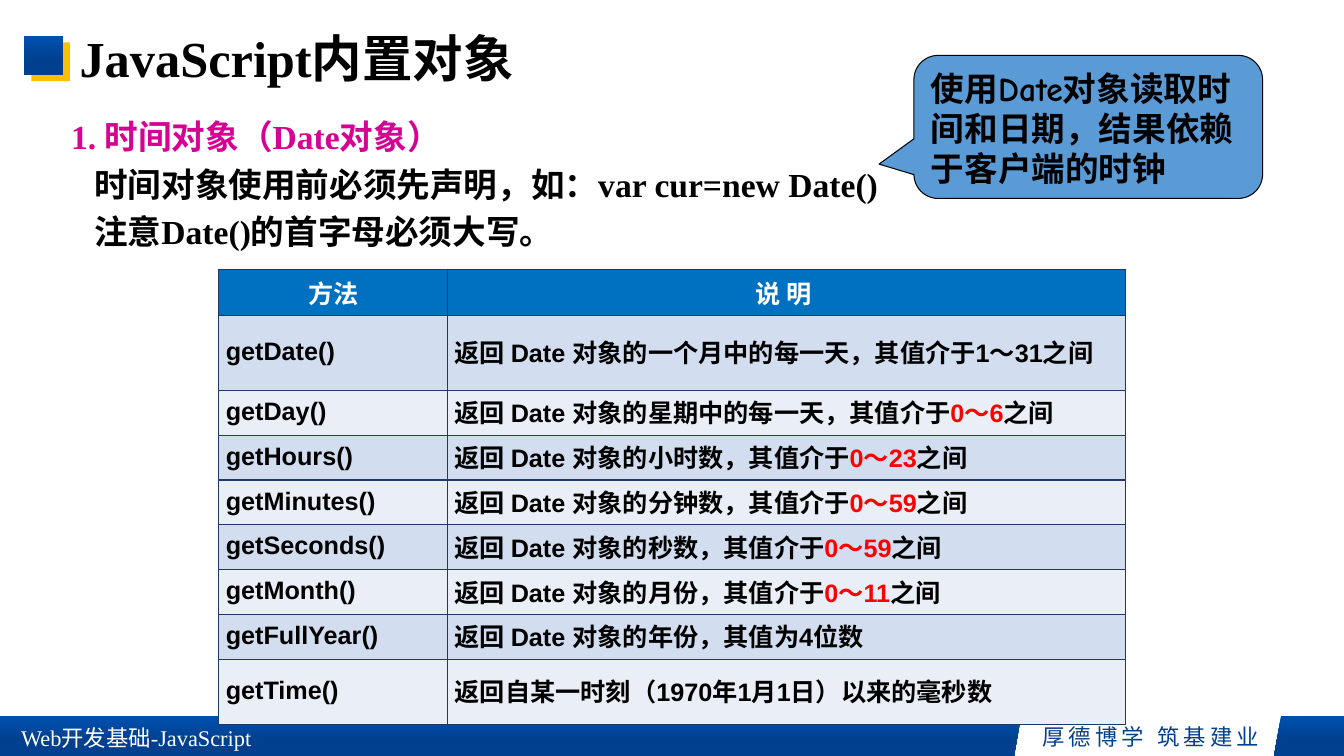
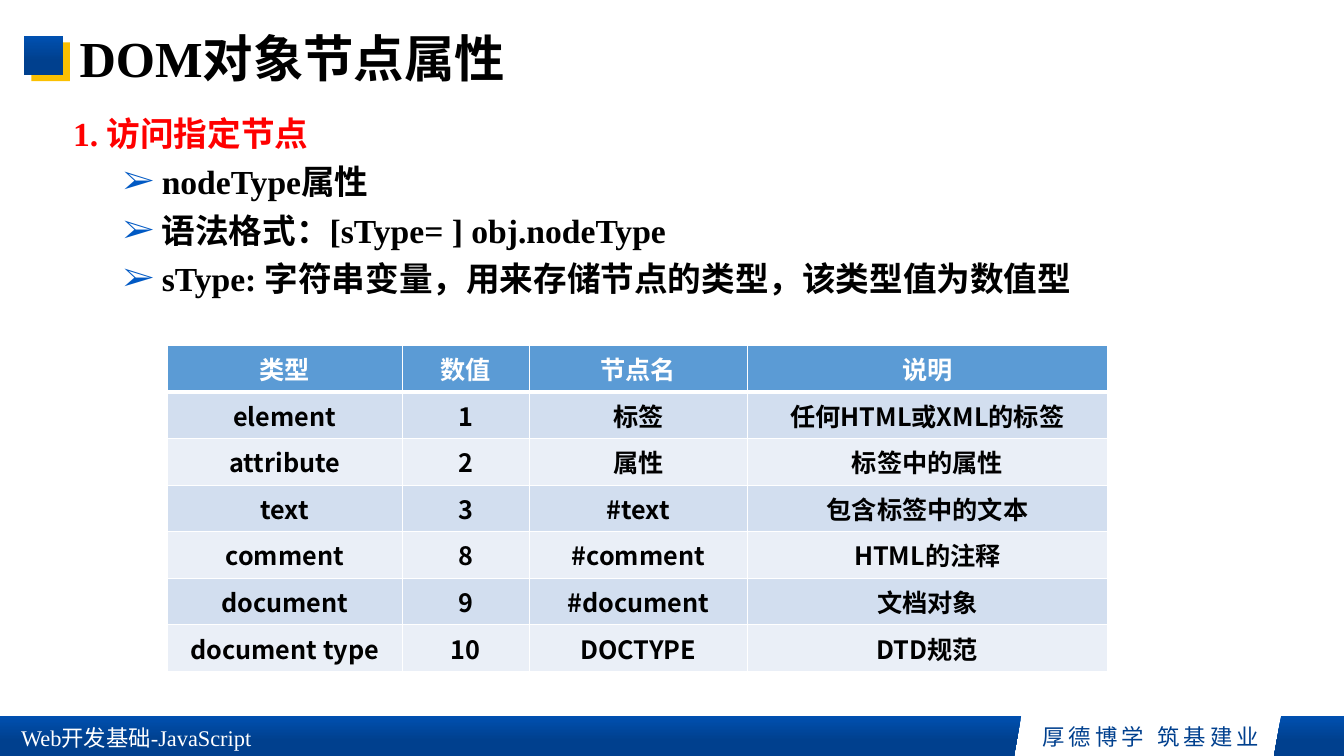
"""Two lecture slides on JavaScript built-in objects and DOM node properties."""
from dataclasses import dataclass, replace

from lxml.etree import SubElement
from pptx import Presentation
from pptx.dml.color import RGBColor
from pptx.enum.shapes import MSO_SHAPE as Preset
from pptx.enum.text import MSO_ANCHOR as Anchor, PP_ALIGN as Align
from pptx.oxml import parse_xml
from pptx.oxml.ns import nsdecls, qn
from pptx.util import Emu, Inches, Pt

WIDTH, HEIGHT = Inches(13.333), Inches(7.5)

BLACK = RGBColor(0, 0, 0)
WHITE = RGBColor(255, 255, 255)
RED = RGBColor(255, 0, 0)
MAGENTA = RGBColor(0xD6, 0x00, 0x93)
GOLD = RGBColor(0xFB, 0xC0, 0x01)
BAND_TOP = RGBColor(0x00, 0x50, 0xB0)
BAND_BOTTOM = RGBColor(0x00, 0x40, 0x8E)
BULLET_BLUE = RGBColor(0x00, 0x59, 0xC4)
SKY = RGBColor(0x5B, 0x9B, 0xD5)
HEADER_BLUE = RGBColor(0x00, 0x70, 0xC0)
GRID_NAVY = RGBColor(0x20, 0x38, 0x64)
STRIPES = RGBColor(0xD2, 0xDE, 0xEF), RGBColor(0xEA, 0xEF, 0xF7)

SERIF, SANS, COMIC, CHINESE = "Times New Roman", "Arial", "Comic Neue", "Noto Sans CJK SC"


@dataclass(frozen=True)
class Style:
    """Look of a run of text."""
    size: int
    face: str
    color: RGBColor = BLACK
    bold: bool = True
    tracking: int = 0


TITLE = Style(36, SERIF)
BODY = Style(24, SERIF)
CALLOUT = Style(24, COMIC)
FOOTER = Style(16, SERIF, WHITE, False)
MOTTO = Style(16, CHINESE, BAND_BOTTOM, False, 3)


@dataclass(frozen=True)
class TableLook:
    """Look of a table: text face, alignment, colours and body cell insets."""
    face: str
    body_align: Align
    header_fill: RGBColor
    border: RGBColor
    header_rule: int
    insets: tuple


METHOD_LOOK = TableLook(SANS, Align.JUSTIFY, HEADER_BLUE, GRID_NAVY, 1,
                        (0.07, 0, 0.07, 0.02))
NODE_LOOK = TableLook(CHINESE, Align.CENTER, SKY, WHITE, 3, (0.1, 0.05, 0.1, 0.05))

METHOD_ROWS = [
    ("方法", "说 明 "),
    ("getDate()", "返回 Date 对象的一个月中的每一天，其值介于1～31之间"),
    ("getDay()", ("返回 Date 对象的星期中的每一天，其值介于", "0～6", "之间")),
    ("getHours()", ("返回 Date 对象的小时数，其值介于", "0～23", "之间")),
    ("getMinutes()", ("返回 Date 对象的分钟数，其值介于", "0～59", "之间")),
    ("getSeconds()", ("返回 Date 对象的秒数，其值介于", "0～59", "之间")),
    ("getMonth()", ("返回 Date 对象的月份，其值介于", "0～11", "之间")),
    ("getFullYear()", "返回 Date 对象的年份，其值为4位数"),
    ("getTime()", "返回自某一时刻（1970年1月1日）以来的毫秒数"),
]
NODE_ROWS = [
    ("类型", "数值", "节点名", "说明"),
    ("element", "1", "标签", "任何HTML或XML的标签"),
    ("attribute", "2", "属性", "标签中的属性"),
    ("text", "3", "#text", "包含标签中的文本"),
    ("comment", "8", "#comment", "HTML的注释"),
    ("document", "9", "#document", "文档对象"),
    ("document type", "10", "DOCTYPE", "DTD规范"),
]


def across(percent):
    """Length as a percentage of the slide's width."""
    return Emu(round(WIDTH * percent / 100))


def down(percent):
    """Length as a percentage of the slide's height."""
    return Emu(round(HEIGHT * percent / 100))


def area(left, top, width, height):
    """Rectangle given in percentages of the slide."""
    return across(left), down(top), across(width), down(height)


def add_run(paragraph, text, style):
    """Append one styled run, Chinese glyphs included."""
    run = paragraph.add_run()
    run.text = text
    font = run.font
    font.size, font.bold, font.name = Pt(style.size), style.bold, style.face
    font.color.rgb = style.color
    properties = font._element
    if style.tracking:
        properties.set("spc", str(style.tracking * 100))
    SubElement(properties, qn("a:ea")).set("typeface", CHINESE)


def add_text(slide, place, text, style, align=Align.LEFT, anchor=Anchor.TOP, spacing=1.0):
    """Add a text box with one paragraph."""
    frame = slide.shapes.add_textbox(*area(*place)).text_frame
    frame.word_wrap = True
    frame.vertical_anchor = anchor
    paragraph = frame.paragraphs[0]
    paragraph.alignment, paragraph.line_spacing = align, spacing
    add_run(paragraph, text, style)
    return frame


def add_line(frame, text, spacing, indent, before=0.0, bullet=None):
    """Append a body paragraph, indented or bulleted."""
    paragraph = frame.add_paragraph()
    paragraph.line_spacing, paragraph.space_before = spacing, Pt(before)
    properties = paragraph._p.get_or_add_pPr()
    properties.set("marL", str(Inches(indent)))
    if bullet:
        properties.set("indent", str(-Inches(0.38)))
        color = SubElement(properties, qn("a:buClr"))
        SubElement(color, qn("a:srgbClr")).set("val", str(BULLET_BLUE))
        SubElement(properties, qn("a:buFont")).set("typeface", SERIF)
        SubElement(properties, qn("a:buChar")).set("char", bullet)
    add_run(paragraph, text, BODY)


def fill_gradient(shape):
    """Fill a shape with the vertical blue of the bands."""
    shape.fill.gradient()
    shape.fill.gradient_angle = 270
    stops = zip(shape.fill.gradient_stops, (0, 0.62), (BAND_TOP, BAND_BOTTOM))
    for stop, position, color in stops:
        stop.position, stop.color.rgb = position, color
    shape.line.fill.background()
    shape.shadow.inherit = False


def add_square(slide, left, top):
    """Add one of the two squares beside the title."""
    square = slide.shapes.add_shape(Preset.RECTANGLE, *area(left, top, 2.88, 5.13))
    square.shadow.inherit = False
    square.line.fill.background()
    return square


def add_band(slide):
    """Draw the footer band with its slanted gap."""
    top, bottom = down(94.67), HEIGHT
    right_part = [(95.33, top), (100, top), (100, bottom), (94.8, bottom)]
    left_part = [(0, top), (75.98, top), (75.45, bottom), (0, bottom)]
    first, *rest = [(across(x), y) for x, y in right_part]
    outline = slide.shapes.build_freeform(*first, scale=1.0)
    outline.add_line_segments(rest, close=True)
    first, *rest = [(across(x), y) for x, y in left_part]
    outline.move_to(*first)
    outline.add_line_segments(rest, close=True)
    fill_gradient(outline.convert_to_shape())


def new_slide(deck, title):
    """Add a slide with the shared footer, squares and title."""
    slide = deck.slides.add_slide(deck.slide_layouts[6])
    add_band(slide)
    for left, words in ((72.75, "厚德博学"), (81.3, "筑基建业")):
        add_text(slide, (left, 95.0, 17.18, 4.93), words, MOTTO, Align.CENTER)
    add_text(slide, (0.83, 95.07, 20.85, 4.93), "Web开发基础-JavaScript", FOOTER)
    back = add_square(slide, 2.33, 5.6)
    back.fill.solid()
    back.fill.fore_color.rgb = GOLD
    fill_gradient(add_square(slide, 1.8, 4.8))
    add_text(slide, (5.18, 0.8, 86.25, 14.67), title, TITLE,
             anchor=Anchor.MIDDLE, spacing=0.9)
    return slide


def add_callout(slide, text):
    """Add the speech bubble that points to the declaration."""
    bubble = slide.shapes.add_shape(Preset.ROUNDED_RECTANGULAR_CALLOUT,
                                    *area(68.0, 7.33, 25.95, 18.93))
    for index, value in enumerate((-0.6, 0.26, 0.17)):
        bubble.adjustments[index] = value
    bubble.shadow.inherit = False
    bubble.fill.solid()
    bubble.fill.fore_color.rgb = SKY
    bubble.line.color.rgb, bubble.line.width = BLACK, Pt(0.75)
    frame = bubble.text_frame
    frame.word_wrap = True
    frame.vertical_anchor = Anchor.TOP
    paragraph = frame.paragraphs[0]
    paragraph.alignment = Align.LEFT
    add_run(paragraph, text, CALLOUT)


def set_borders(cell, color, top, bottom):
    """Draw the four borders of a cell, widths in points."""
    properties = cell._tc.get_or_add_tcPr()
    sides = (("L", 1), ("R", 1), ("T", top), ("B", bottom))
    for index, (side, width) in enumerate(sides):
        properties.insert(index, parse_xml(
            f'<a:ln{side} {nsdecls("a")} w="{Pt(width)}"><a:solidFill>'
            f'<a:srgbClr val="{color}"/></a:solidFill></a:ln{side}>'))


def fill_cell(cell, content, row, look):
    """Write and paint one cell; the middle part of a split text is red."""
    header = row == 0
    style = Style(18, look.face, WHITE if header else BLACK)
    paragraph = cell.text_frame.paragraphs[0]
    paragraph.alignment = Align.CENTER if header else look.body_align
    parts = (content,) if isinstance(content, str) else content
    for index, part in enumerate(parts):
        add_run(paragraph, part, replace(style, color=RED) if index == 1 else style)
    insets = (0.1, 0.05, 0.1, 0.05) if header else look.insets
    (cell.margin_left, cell.margin_top,
     cell.margin_right, cell.margin_bottom) = map(Inches, insets)
    cell.vertical_anchor = Anchor.MIDDLE
    cell.fill.solid()
    cell.fill.fore_color.rgb = look.header_fill if header else STRIPES[(row - 1) % 2]
    set_borders(cell, look.border, look.header_rule if row == 1 else 1,
                look.header_rule if header else 1)


def add_grid(slide, left, top, columns, heights, rows, look):
    """Add a table with the given column and row shares."""
    place = area(left, top, sum(columns), sum(heights))
    table = slide.shapes.add_table(len(rows), len(columns), *place).table
    table.horz_banding = False
    for column, share in zip(table.columns, columns):
        column.width = across(share)
    for row, share in zip(table.rows, heights):
        row.height = down(share)
    for number, contents in enumerate(rows):
        for column, content in enumerate(contents):
            fill_cell(table.cell(number, column), content, number, look)


def date_slide(deck):
    """Build the slide on the Date object."""
    slide = new_slide(deck, "JavaScript内置对象")
    body = add_text(slide, (4.55, 14.13, 89.4, 73.6), "1. 时间对象（Date对象）",
                    replace(BODY, color=MAGENTA), spacing=1.1)
    for text in ("时间对象使用前必须先声明，如：var cur=new Date()",
                 "注意Date()的首字母必须大写。"):
        add_line(body, text, 1.1, indent=0.23, before=2.4)
    add_callout(slide, "使用Date对象读取时间和日期，结果依赖于客户端的时钟")
    add_grid(slide, 16.28, 35.6, (17.03, 50.44), (6.13, 9.92, *[5.93] * 6, 8.6),
             METHOD_ROWS, METHOD_LOOK)


def node_slide(deck):
    """Build the slide on DOM node properties."""
    slide = new_slide(deck, "DOM对象节点属性")
    body = add_text(slide, (4.7, 13.2, 89.4, 73.6), "1. 访问指定节点",
                    replace(BODY, color=RED), spacing=1.2)
    for text in ("nodeType属性", "语法格式：[sType= ] obj.nodeType",
                 "sType: 字符串变量，用来存储节点的类型，该类型值为数值型"):
        add_line(body, text, 1.2, indent=0.88, bullet="➢")
    add_grid(slide, 12.45, 45.7, (17.48, 9.45, 16.24, 26.78), [6.16] * len(NODE_ROWS),
             NODE_ROWS, NODE_LOOK)


def main():
    """Build and save the deck."""
    deck = Presentation()
    deck.slide_width, deck.slide_height = WIDTH, HEIGHT
    date_slide(deck)
    node_slide(deck)
    deck.save("out.pptx")


if __name__ == "__main__":
    main()
